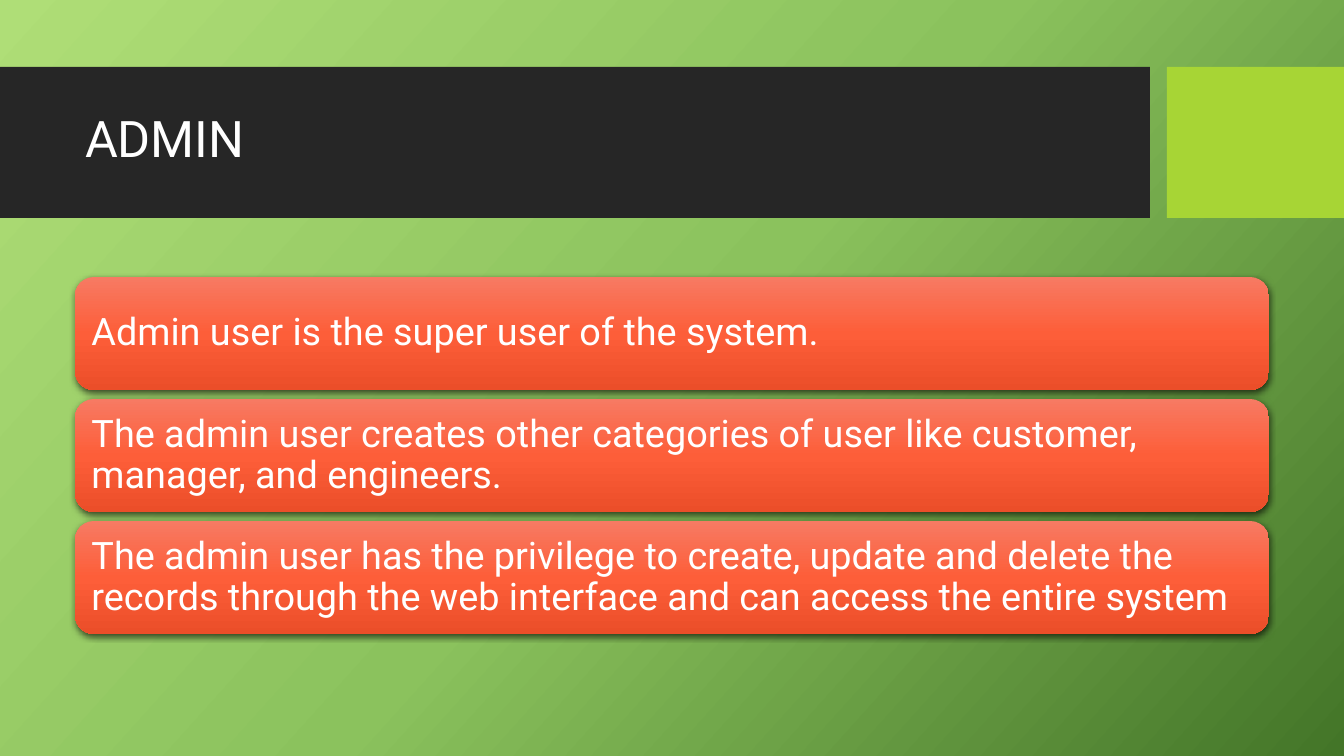
from lxml import etree
from pptx import Presentation
from pptx import util as u
from pptx.dml.color import RGBColor
from pptx.enum import shapes, text
from pptx.oxml.ns import qn

TITLE = "ADMIN"
CARDS = [
    "Admin user is the super user of the system.",
    "The admin user creates other categories of user like customer, "
    "manager, and engineers.",
    "The admin user has the privilege to create, update and delete the "
    "records through the web interface and can access the entire system",
]
COLORS = {"band": "262626", "accent": "A7D535", "text": "FFFFFF", "shadow": "000000"}
GREENS = ["AFDE77", "8BC25D", "437528"]
REDS = ["F77A63", "FD5E39", "EB4E29"]
FONT = "Roboto"

W, H = 1344, 756
BAND_TOP, BAND_H = 67, 151
BAND_W, ACCENT_LEFT = 1150, 1167
CARD_LEFT, CARD_TOP, CARD_W, CARD_H = 75, 277, 1194, 113
CARD_PITCH, CARD_INSET = 122, 11


def px(n):
    return u.Emu(round(n * 914400 / 100.8))


def box(s, kind, left, top, width, height):
    sp = s.shapes.add_shape(kind, px(left), px(top), px(width), px(height))
    sp.shadow.inherit = False
    sp.line.fill.background()
    return sp


def gradient(fill, element, colors, angle):
    """Fill with evenly spaced stops; angle is clockwise, in degrees."""
    fill.gradient()
    grad = next(element.iter(qn("a:gradFill")))
    stops = grad.find(qn("a:gsLst"))
    for old in list(stops):
        stops.remove(old)
    for i, color in enumerate(colors):
        gs = etree.SubElement(stops, qn("a:gs"), pos=str(i * 100000 // (len(colors) - 1)))
        etree.SubElement(gs, qn("a:srgbClr"), val=color)
    grad.find(qn("a:lin")).set("ang", str(angle * 60000))


def drop_shadow(sp):
    effects = sp._element.spPr.find(qn("a:effectLst"))
    shadow = etree.SubElement(
        effects, qn("a:outerShdw"), blurRad=str(u.Pt(4.5)), dist=str(u.Pt(1.5)),
        dir="5400000", algn="ctr", rotWithShape="0")
    color = etree.SubElement(shadow, qn("a:srgbClr"), val=COLORS["shadow"])
    etree.SubElement(color, qn("a:alpha"), val="63000")


def write(sp, words, size, inset=10):
    tf = sp.text_frame
    tf.word_wrap = True
    tf.auto_size = text.MSO_AUTO_SIZE.NONE
    tf.vertical_anchor = text.MSO_ANCHOR.MIDDLE
    tf.margin_left = tf.margin_right = tf.margin_top = tf.margin_bottom = px(inset)
    p = tf.paragraphs[0]
    p.alignment = text.PP_ALIGN.LEFT
    p.line_spacing = 0.9
    r = p.add_run()
    r.text = words
    r.font.size = u.Pt(size)
    r.font.name = FONT
    r.font.color.rgb = RGBColor.from_string(COLORS["text"])


def main():
    prs = Presentation()
    prs.slide_width, prs.slide_height = px(W), px(H)
    s = prs.slides.add_slide(prs.slide_layouts[5])
    gradient(s.background.fill, s._element, GREENS, 42)

    for name, left, width in [("band", 0, BAND_W), ("accent", ACCENT_LEFT, W - ACCENT_LEFT)]:
        sp = box(s, shapes.MSO_SHAPE.RECTANGLE, left, BAND_TOP, width, BAND_H)
        sp.fill.solid()
        sp.fill.fore_color.rgb = RGBColor.from_string(COLORS[name])

    title = s.shapes.title
    title.left, title.top, title.width, title.height = px(75), px(82), px(1060), px(119)
    s.shapes._spTree.append(title._element)  # bring the title in front of its band
    write(title, TITLE, 36)

    for i, words in enumerate(CARDS):
        sp = box(s, shapes.MSO_SHAPE.ROUNDED_RECTANGLE,
                 CARD_LEFT, CARD_TOP + i * CARD_PITCH, CARD_W, CARD_H)
        gradient(sp.fill, sp._element, REDS, 90)
        drop_shadow(sp)
        write(sp, words, 27, CARD_INSET)

    prs.save("out.pptx")


if __name__ == "__main__":
    main()
